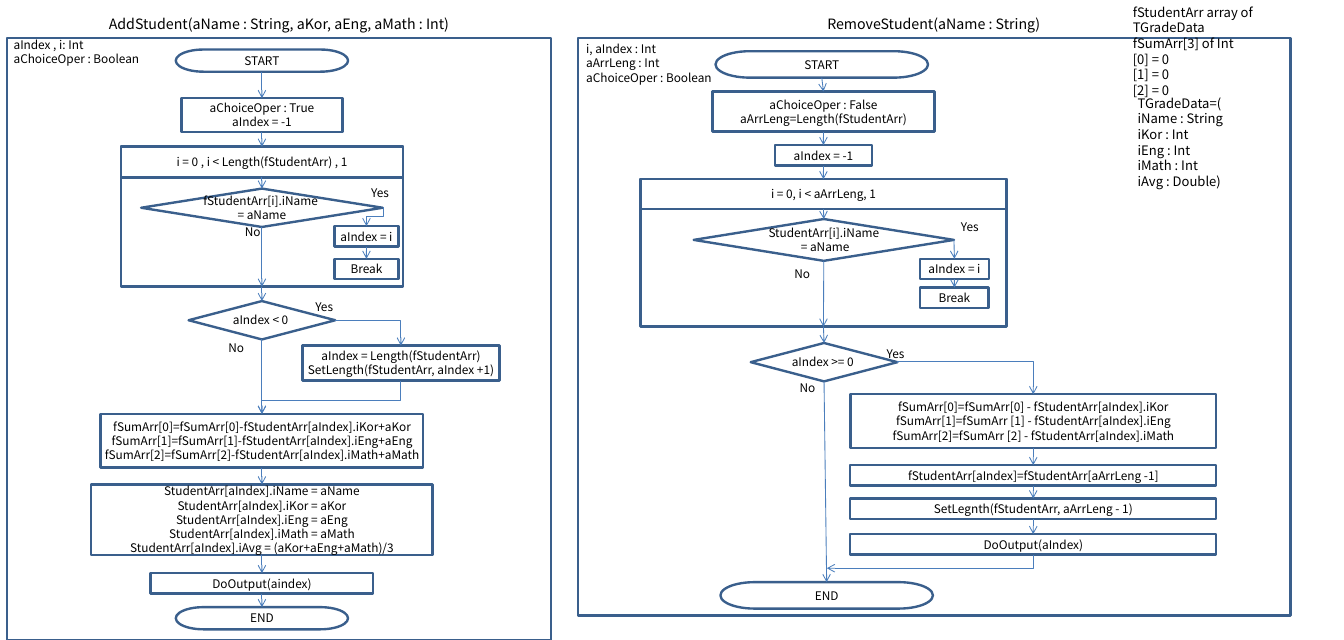
from lxml.etree import SubElement
from pptx import Presentation
from pptx.dml.color import RGBColor
from pptx.enum.shapes import MSO_CONNECTOR, MSO_SHAPE
from pptx.enum.text import MSO_ANCHOR, PP_ALIGN
from pptx.oxml.ns import qn
from pptx.util import Pt

FONT = "Noto Sans CJK KR"
EDGE, WIRE, INK = "3A5F8C", "4B7EBC", "000000"
BOX, CAP, TEST = (MSO_SHAPE.RECTANGLE, MSO_SHAPE.FLOWCHART_TERMINATOR,
                  MSO_SHAPE.FLOWCHART_DECISION)
TOP, BOTTOM, RIGHT = 0, 2, 3


def color(code):
    return RGBColor.from_string(code)


def write(shape, text, size, align, anchor):
    frame = shape.text_frame
    frame.word_wrap = True
    frame.vertical_anchor = anchor
    frame.margin_left = frame.margin_right = 0
    frame.margin_top = frame.margin_bottom = 0
    frame.text = text
    for line in frame.paragraphs:
        line.alignment = align
        line.font.name = FONT
        line.font.size = Pt(size)
        line.font.color.rgb = color(INK)


deck = Presentation()
deck.slide_width, deck.slide_height = Pt(1134), Pt(540)
slide = deck.slides.add_slide(deck.slide_layouts[6])
shapes = slide.shapes

# Column centres: add chart, its side branches, remove chart, its side branches
ADD, SET, GROW = 221, 309.2, 338.3
REM, PUT, CUT = 694.8, 805.3, 871.8

# Nodes: name, kind, centre x, top, width, height, text
nodes = [
    ("add frame", BOX, 235.3, 31.9, 459.2, 507.9, ""),
    ("add start", CAP, ADD, 41.8, 145.4, 18.7, "START"),
    ("add init", BOX, ADD, 82.8, 136, 28.4, "aChoiceOper : True\naIndex = -1"),
    ("add loop", BOX, ADD, 123.8, 238.3, 118.1, ""),
    ("add head", BOX, ADD, 123.8, 238.3, 25.9, "i = 0 , i < Length(fStudentArr) , 1"),
    ("add match", TEST, ADD, 159.1, 203.8, 32.4, "fStudentArr[i].iName \n= aName"),
    ("add set", BOX, SET, 190.8, 54, 17.3, "aIndex = i"),
    ("add break", BOX, SET, 218.4, 54, 17.3, "Break"),
    ("add check", TEST, ADD, 254, 123.8, 32.4, "aIndex < 0 "),
    ("add grow", BOX, GROW, 291.6, 166.3, 29.5,
     "aIndex = Length(fStudentArr)\nSetLength(fStudentArr, aIndex +1)"),
    ("add sums", BOX, ADD, 349.2, 272.2, 45.4,
     "fSumArr[0]=fSumArr[0]-fStudentArr[aIndex].iKor+aKor\n"
     "fSumArr[1]=fSumArr[1]-fStudentArr[aIndex].iEng+aEng\n"
     "fSumArr[2]=fSumArr[2]-fStudentArr[aIndex].iMath+aMath"),
    ("add fields", BOX, ADD, 408.7, 288, 59.6,
     "StudentArr[aIndex].iName = aName\n"
     "StudentArr[aIndex].iKor = aKor\n"
     "StudentArr[aIndex].iEng = aEng\n"
     "StudentArr[aIndex].iMath = aMath\n"
     "StudentArr[aIndex].iAvg = (aKor+aEng+aMath)/3"),
    ("add out", BOX, ADD, 483.6, 187.9, 17.3, "DoOutput(aindex)"),
    ("add end", CAP, ADD, 512.3, 145.4, 18.7, "END"),
    ("rem frame", BOX, 788.2, 31.9, 601.2, 487.4, ""),
    ("rem start", CAP, 693.4, 43.2, 179.3, 22.3, "START"),
    ("rem init", BOX, REM, 77.2, 187.2, 33.8,
     "aChoiceOper : False\naArrLeng=Length(fStudentArr)"),
    ("rem index", BOX, REM, 122.4, 82.1, 17.3, "aIndex = -1"),
    ("rem loop", BOX, REM, 151.2, 308.9, 124.4, ""),
    ("rem head", BOX, REM, 151.2, 308.9, 25.2, "i = 0, i < aArrLeng, 1"),
    ("rem match", TEST, 695.1, 184.8, 219.6, 35.3, "StudentArr[i].iName\n = aName"),
    ("rem set", BOX, PUT, 218.4, 58.3, 17.3, "aIndex = i"),
    ("rem break", BOX, PUT, 242.6, 57.6, 17.3, "Break"),
    ("rem check", TEST, 695.3, 289.4, 123.8, 32.4, "aIndex >= 0 "),
    ("rem sums", BOX, CUT, 332.6, 308.5, 45.4,
     "fSumArr[0]=fSumArr[0] - fStudentArr[aIndex].iKor\n"
     "fSumArr[1]=fSumArr [1] - fStudentArr[aIndex].iEng\n"
     "fSumArr[2]=fSumArr [2] - fStudentArr[aIndex].iMath"),
    ("rem move", BOX, CUT, 392.4, 308.9, 17.3,
     "fStudentArr[aIndex]=fStudentArr[aArrLeng -1]"),
    ("rem cut", BOX, CUT, 420.5, 308.9, 17.3, "SetLegnth(fStudentArr, aArrLeng - 1)"),
    ("rem out", BOX, CUT, 450.7, 308.9, 17.3, "DoOutput(aIndex)"),
    ("rem end", CAP, 697.5, 491.2, 179.3, 22.3, "END"),
]
made = {}
for name, kind, mid, top, width, height, text in nodes:
    node = shapes.add_shape(kind, Pt(mid - width / 2), Pt(top), Pt(width), Pt(height))
    node.shadow.inherit = False
    node.fill.background()
    node.line.color.rgb = color(EDGE)
    node.line.width = Pt(2)
    if text:
        write(node, text, 10, PP_ALIGN.CENTER, MSO_ANCHOR.MIDDLE)
    made[name] = node

# Titles above the frames
for left, width, text in [
    (5.8, 459.4, "AddStudent(aName : String, aKor, aEng, aMath : Int)"),
    (487.4, 601.2, "RemoveStudent(aName : String)"),
]:
    title = shapes.add_textbox(Pt(left), Pt(9.4), Pt(width), Pt(22))
    write(title, text, 12, PP_ALIGN.CENTER, MSO_ANCHOR.MIDDLE)

# Variables and branch labels: left, top, width, height, size, text
for left, top, width, height, size, text in [
    (11.5, 31.7, 110, 24.5, 10, "aIndex , i: Int\naChoiceOper : Boolean"),
    (494.6, 35.3, 115, 36.7, 10, "i, aIndex : Int\naArrLeng : Int\naChoiceOper : Boolean"),
    (955.8, 3.6, 155, 80, 11,
     "fStudentArr array of TGradeData\nfSumArr[3] of Int\n[0] = 0\n[1] = 0\n[2] = 0"),
    (959.8, 80.4, 90, 80, 11,
     "TGradeData=(\niName : String\niKor : Int\niEng : Int\niMath : Int\niAvg : Double)"),
    (313.2, 157, 21, 12.2, 10, "Yes"),
    (206.6, 189.8, 21, 12.2, 10, "No"),
    (266, 253.2, 21, 12.2, 10, "Yes"),
    (192.7, 287.1, 21, 12.2, 10, "No"),
    (810.7, 185, 21, 12.2, 10, "Yes"),
    (670.3, 224.6, 21, 12.2, 10, "No"),
    (748.1, 292.3, 21, 12.2, 10, "Yes"),
    (674.6, 321.1, 21, 12.2, 10, "No"),
]:
    label = shapes.add_textbox(Pt(left), Pt(top), Pt(width), Pt(height))
    write(label, text, size, PP_ALIGN.LEFT, MSO_ANCHOR.TOP)

# Straight arrows: from, side, to, side
links = [
    ("add match", BOTTOM, "add loop", BOTTOM),
    ("add loop", BOTTOM, "add check", TOP),
    ("rem match", BOTTOM, "rem loop", BOTTOM),
    ("rem loop", BOTTOM, "rem check", TOP),
    ("rem match", RIGHT, "rem set", TOP),
]
for chain in [
    "add start, add init, add head, add match",
    "add set, add break",
    "add check, add sums, add fields, add out, add end",
    "rem start, rem init, rem index, rem head, rem match",
    "rem set, rem break",
    "rem check, rem end",
    "rem sums, rem move, rem cut, rem out",
]:
    steps = chain.split(", ")
    links += [(a, BOTTOM, b, TOP) for a, b in zip(steps, steps[1:])]
wires = []
for start, side, end, goal in links:
    wire = shapes.add_connector(MSO_CONNECTOR.STRAIGHT, 0, 0, 0, 0)
    wire.begin_connect(made[start], side)
    wire.end_connect(made[end], goal)
    wires.append(wire)

# Bent arrows: from, side, to, preset, place, turn, flip, adjustments
for start, side, end, preset, place, turn, flip, bends in [
    ("add match", RIGHT, "add set", "bentConnector4",
     (309.2, 175.3, 13.7, 15.5), 0, 1, (-4500, 46400)),
    ("add check", RIGHT, "add grow", "bentConnector2",
     (282.9, 270.2, 55.4, 21.4), 0, 0, ()),
    ("add grow", BOTTOM, "add sums", "bentConnector3",
     (265.6, 276.5, 28.1, 117.3), 90, 0, (60900,)),
    ("rem check", RIGHT, "rem sums", "bentConnector3",
     (801, 261.8, 27, 114.6), 270, 1, (-2200,)),
    ("rem out", BOTTOM, None, "bentConnector2",
     (779, 386.6, 11.5, 174.2), 90, 0, ()),
]:
    wire = shapes.add_connector(MSO_CONNECTOR.ELBOW, 0, 0, 0, 0)
    wire.begin_connect(made[start], side)
    if end:
        wire.end_connect(made[end], TOP)
    wire.left, wire.top, wire.width, wire.height = map(Pt, place)
    props = wire.element.spPr
    frame = props.find(qn("a:xfrm"))
    for key, value in [("rot", turn * 60000), ("flipH", flip), ("flipV", 0)]:
        frame.set(key, str(value))
    geom = props.find(qn("a:prstGeom"))
    geom.set("prst", preset)
    for count, bend in enumerate(bends, 1):
        SubElement(geom.find(qn("a:avLst")), qn("a:gd"),
                   name=f"adj{count}", fmla=f"val {bend}")
    wires.append(wire)

# Line style and arrowheads
for wire in wires:
    wire.line.color.rgb = color(WIRE)
    wire.line.width = Pt(0.75)
    props = wire.element.spPr
    SubElement(props.find(qn("a:ln")), qn("a:tailEnd"), type="arrow")
    SubElement(props, qn("a:effectLst"))

deck.save("out.pptx")
